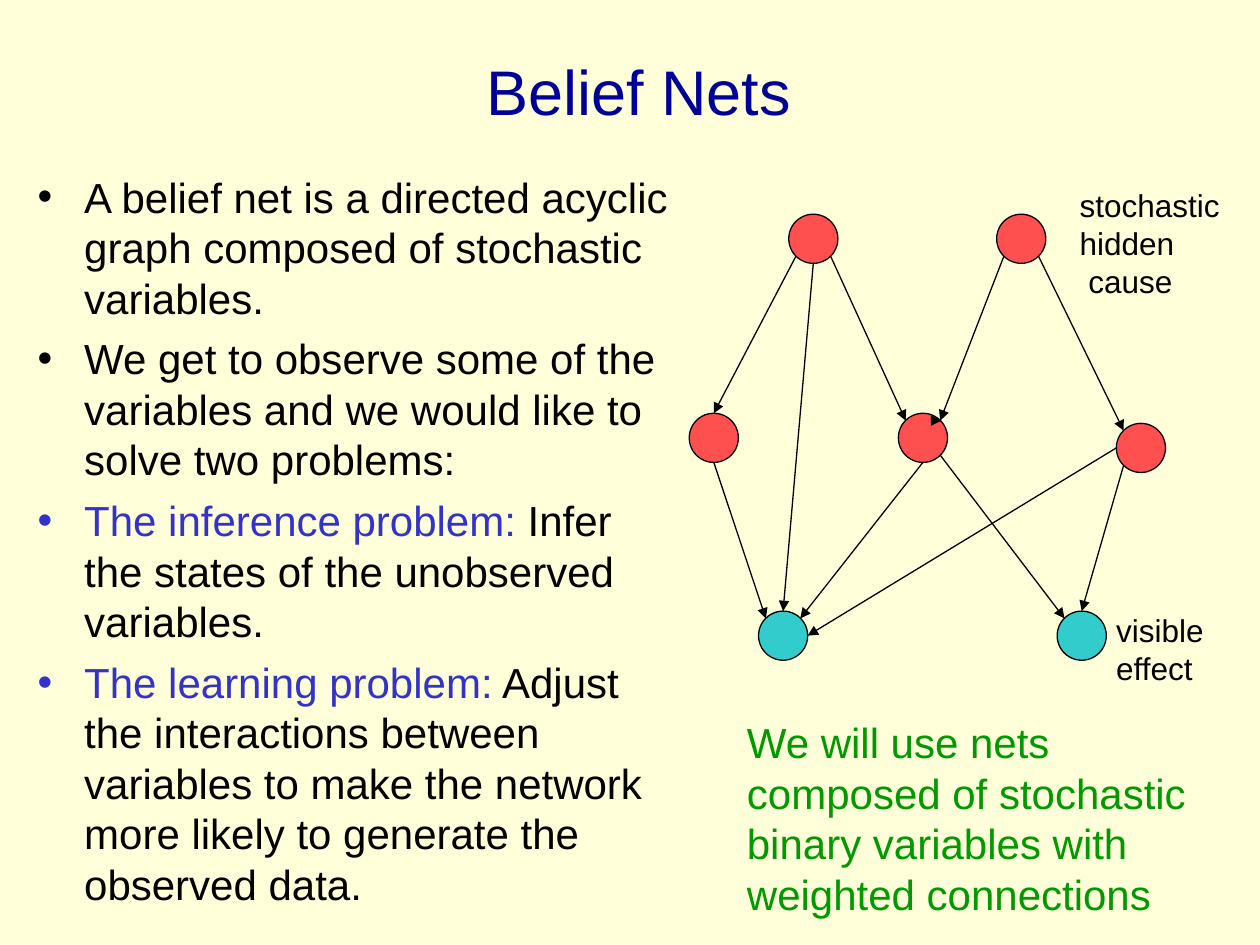
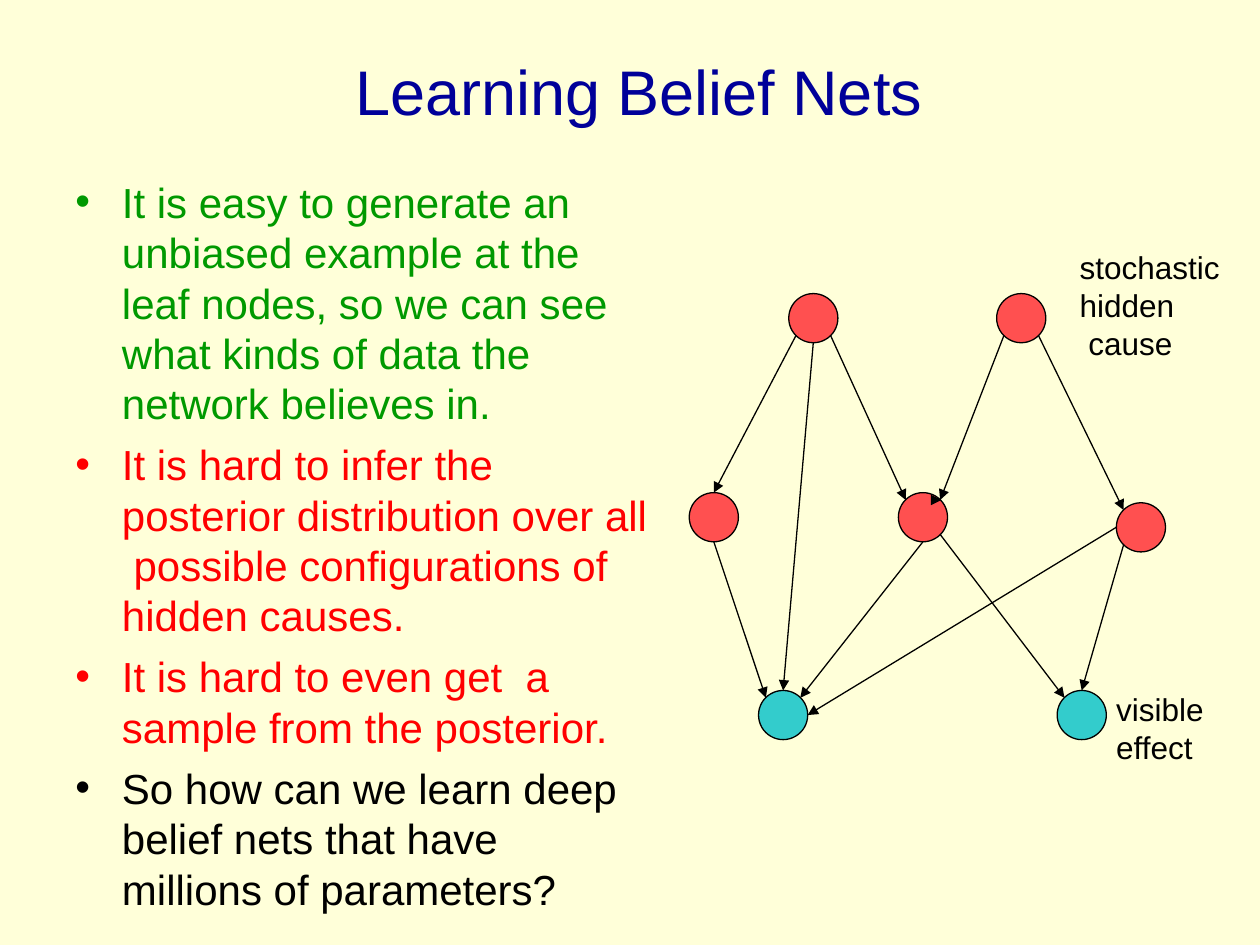
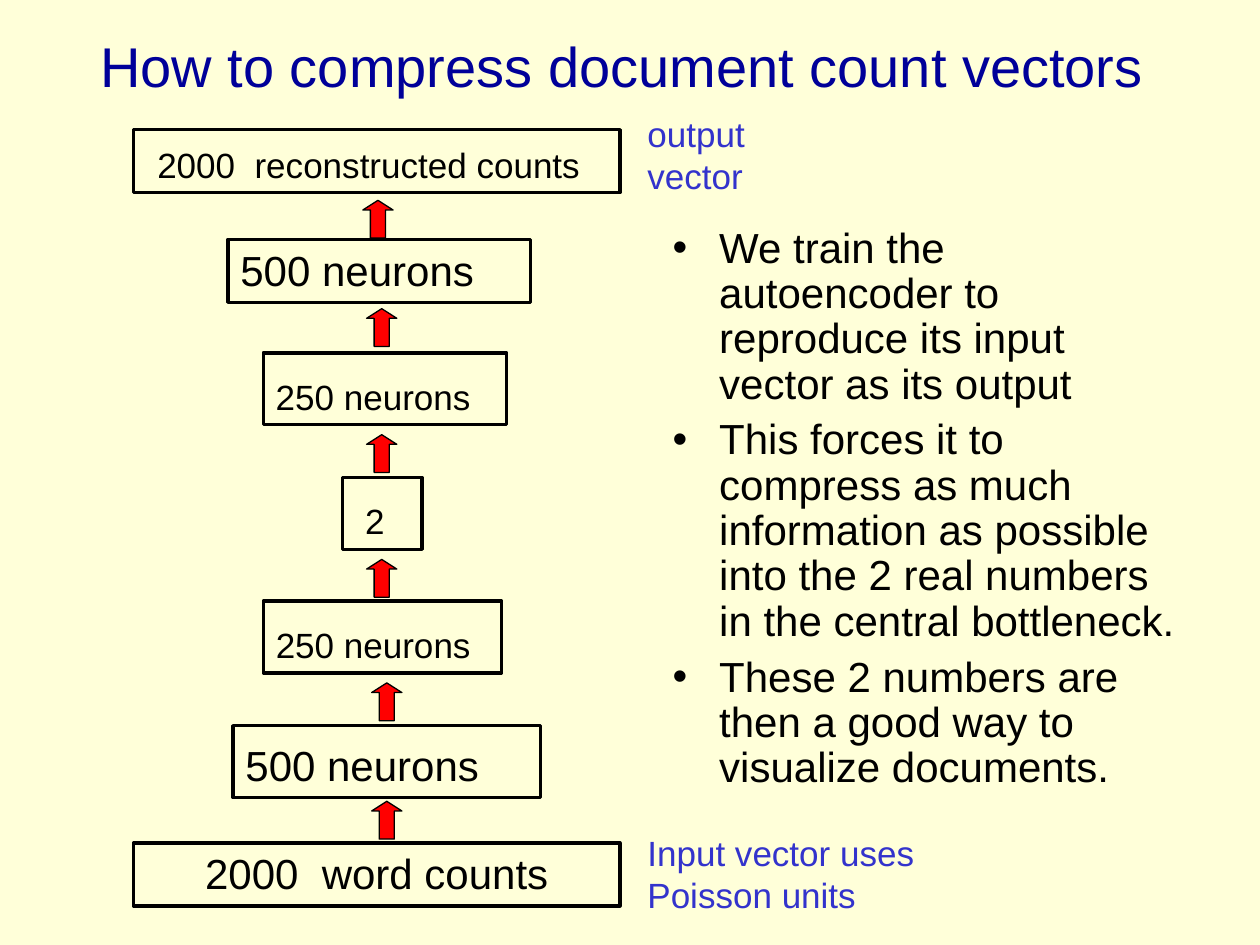
from dataclasses import dataclass
from typing import NamedTuple

from lxml.etree import SubElement
from pptx import Presentation
from pptx.dml.color import RGBColor
from pptx.enum.shapes import MSO_CONNECTOR as Connector, MSO_SHAPE as Shape
from pptx.enum.text import MSO_ANCHOR as Anchor, MSO_AUTO_SIZE as AutoSize, PP_ALIGN as Align
from pptx.oxml.ns import qn
from pptx.util import Emu, Pt

EMU_PER_PX = 9144  # 100 px to the inch
FONT = "Arial"
COLORS = {
    "paper": "FFFFD9",
    "title": "000099",
    "ink": "000000",
    "accent": "3333CC",
    "easy": "009900",
    "hard": "FF0000",
    "hidden": "FF5050",
    "visible": "33CCCC",
}
HANG = 37
NODE_SIZE = 39


class Box(NamedTuple):
    left: int
    top: int
    width: int
    height: int


class Run(NamedTuple):
    text: str
    color: str = "ink"


@dataclass
class Para:
    runs: list[Run]
    size: int = 24
    bullet: bool = False
    indent: int = 0
    line_spacing: float | None = None
    space_before: int = 0


class Node(NamedTuple):
    left: int
    top: int
    kind: str


class Edge(NamedTuple):
    cause: str
    cause_site: str
    effect: str
    effect_site: str


class Layer(NamedTuple):
    text: str
    box: Box
    size: int
    indent: int = 0


# Belief net: nodes, and arrows between the rim points of the nodes
NODES = {
    "cause_1": Node(626, 170, "hidden"),
    "cause_2": Node(791, 170, "hidden"),
    "middle_1": Node(547, 328, "hidden"),
    "middle_2": Node(713, 328, "hidden"),
    "middle_3": Node(886, 336, "hidden"),
    "leaf_1": Node(602, 485, "visible"),
    "leaf_2": Node(839, 485, "visible"),
}
SITES = {
    "top": (0.5, 0), "bottom": (0.5, 1), "left": (0, 0.5), "right": (1, 0.5),
    "top_left": (0.15, 0.15), "top_right": (0.85, 0.15),
    "bottom_left": (0.15, 0.85), "bottom_right": (0.85, 0.85),
}
EDGES = [
    Edge("cause_1", "bottom_left", "middle_1", "top"),
    Edge("cause_1", "bottom", "leaf_1", "top"),
    Edge("cause_1", "bottom_right", "middle_2", "top_left"),
    Edge("cause_2", "bottom_left", "middle_2", "top_right"),
    Edge("cause_2", "bottom_right", "middle_3", "top_left"),
    Edge("middle_1", "bottom", "leaf_1", "top_left"),
    Edge("middle_2", "bottom", "leaf_1", "top_right"),
    Edge("middle_2", "bottom_right", "leaf_2", "top_left"),
    Edge("middle_3", "left", "leaf_1", "right"),
    Edge("middle_3", "bottom_left", "leaf_2", "top"),
]

# Autoencoder layers from the output down to the input
LAYERS = [
    Layer("2000  reconstructed counts", Box(106, 103, 386, 50), 20, 9),
    Layer("500 neurons", Box(181, 190, 240, 50), 24),
    Layer("250 neurons", Box(209, 280, 193, 57), 20),
    Layer("2", Box(272, 379, 63, 57), 20, 8),
    Layer("250 neurons", Box(209, 477, 189, 57), 20),
    Layer("500 neurons", Box(185, 576, 244, 57), 24),
    Layer("2000  word counts", Box(106, 669, 386, 50), 24, 47),
]
ARROW_CORNERS = [(288, 159), (291, 245), (291, 345), (291, 444), (295, 542), (295, 636)]


def px(length: float) -> Emu:
    return Emu(round(length * EMU_PER_PX))


def rgb(color: str) -> RGBColor:
    return RGBColor.from_string(COLORS[color])


def place(box: Box) -> list[Emu]:
    return [px(length) for length in box]


def add_run(paragraph, run: Run, size: int) -> None:
    piece = paragraph.add_run()
    piece.text = run.text
    piece.font.name = FONT
    piece.font.size = Pt(size)
    piece.font.color.rgb = rgb(run.color)


def add_bullet(paragraph, color: str) -> None:
    props = paragraph._p.get_or_add_pPr()
    props.set("marL", str(px(HANG)))
    props.set("indent", str(-px(HANG)))
    bullet_color = SubElement(props, qn("a:buClr"))
    SubElement(bullet_color, qn("a:srgbClr")).set("val", COLORS[color])
    SubElement(props, qn("a:buFont")).set("typeface", FONT)
    SubElement(props, qn("a:buChar")).set("char", "•")


def write(frame, paras: list[Para]) -> None:
    frame.word_wrap = True
    frame.auto_size = AutoSize.NONE
    for index, para in enumerate(paras):
        paragraph = frame.add_paragraph() if index else frame.paragraphs[0]
        paragraph.alignment = Align.LEFT
        if para.bullet:
            add_bullet(paragraph, para.runs[0].color)
        elif para.indent:
            paragraph._p.get_or_add_pPr().set("marL", str(px(para.indent)))
        paragraph.space_before = Pt(para.space_before if index else 0)
        if para.line_spacing:
            paragraph.line_spacing = para.line_spacing
        for run in para.runs:
            add_run(paragraph, run, para.size)


def add_text(slide, box: Box, paras: list[Para]) -> None:
    write(slide.shapes.add_textbox(*place(box)).text_frame, paras)


def add_bullets(slide, box: Box, items: list[list[Run]],
                line_spacing: float | None = None) -> None:
    add_text(slide, box, [
        Para(runs, bullet=True, line_spacing=line_spacing, space_before=6) for runs in items
    ])


def add_figure(slide, kind: Shape, box: Box, fill: str | None, line_width: float = 0.75):
    figure = slide.shapes.add_shape(kind, *place(box))
    figure.shadow.inherit = False
    if fill:
        figure.fill.solid()
        figure.fill.fore_color.rgb = rgb(fill)
    else:
        figure.fill.background()
    figure.line.color.rgb = rgb("ink")
    figure.line.width = Pt(line_width)
    return figure


def add_arrow(slide, start: tuple[float, float], end: tuple[float, float]) -> None:
    ends = [px(length) for length in (*start, *end)]
    arrow = slide.shapes.add_connector(Connector.STRAIGHT, *ends)
    arrow.line.color.rgb = rgb("ink")
    arrow.line.width = Pt(0.75)
    SubElement(arrow.line._get_or_add_ln(), qn("a:tailEnd")).set("type", "triangle")
    SubElement(arrow._element.spPr, qn("a:effectLst"))


def add_slide(prs, title: str, top: int = 9, size: int = 36):
    slide = prs.slides.add_slide(prs.slide_layouts[5])
    heading = slide.shapes.title
    heading.left, heading.top, heading.width, heading.height = place(Box(50, top, 900, 125))
    frame = heading.text_frame
    frame.auto_size = AutoSize.NONE
    frame.vertical_anchor = Anchor.MIDDLE
    frame.paragraphs[0].alignment = Align.CENTER
    add_run(frame.paragraphs[0], Run(title, "title"), size)
    return slide


def add_belief_net(slide, drop: int, cause_label_top: int) -> None:
    def rim(name: str, site: str) -> tuple[float, float]:
        node, (across, down) = NODES[name], SITES[site]
        return node.left + across * NODE_SIZE, node.top + drop + down * NODE_SIZE

    for node in NODES.values():
        box = Box(node.left, node.top + drop, NODE_SIZE, NODE_SIZE)
        add_figure(slide, Shape.OVAL, box, node.kind)
    for edge in EDGES:
        add_arrow(slide, rim(edge.cause, edge.cause_site), rim(edge.effect, edge.effect_site))
    # Stub arrow on the rim of the middle node
    stub_x, stub_y = rim("middle_2", "top_right")
    add_arrow(slide, (stub_x, stub_y), (stub_x + 1, stub_y))

    add_text(slide, Box(847, cause_label_top, 138, 100), [
        Para([Run("stochastic")], 18),
        Para([Run("hidden")], 18),
        Para([Run("cause")], 18, indent=7),
    ])
    add_text(slide, Box(876, 480 + drop, 96, 70),
             [Para([Run(word)], 18) for word in ("visible", "effect")])


def build_belief_nets(prs) -> None:
    slide = add_slide(prs, " Belief Nets")
    add_bullets(slide, Box(20, 131, 528, 615), [
        [Run("A belief net is a directed acyclic graph composed of stochastic variables.")],
        [Run("We get to observe some of the variables and we would like to solve two problems:")],
        [Run("The inference problem:", "accent"),
         Run(" Infer the states of the unobserved variables.")],
        [Run("The learning problem:", "accent"),
         Run(" Adjust the interactions between variables to make the network "
             "more likely to generate the observed data.")],
    ])
    add_belief_net(slide, drop=0, cause_label_top=143)
    add_text(slide, Box(583, 564, 390, 170), [Para([Run(
        "We will use nets composed of stochastic binary variables with weighted connections",
        "easy")])])


def build_learning(prs) -> None:
    slide = add_slide(prs, " Learning Belief Nets")
    add_bullets(slide, Box(50, 135, 474, 644), [
        [Run("It is easy to generate an unbiased example at the leaf nodes, "
             "so we can see what kinds of data the network believes in.", "easy")],
        [Run("It is hard to infer the posterior distribution over "
             "all  possible configurations of hidden causes.", "hard")],
        [Run("It is hard to even get  a sample from the posterior.", "hard")],
        [Run("So how can we learn deep belief nets that have millions of parameters?")],
    ])
    add_belief_net(slide, drop=63, cause_label_top=192)


def build_autoencoder(prs) -> None:
    slide = add_slide(prs, "How to compress document count vectors ", top=-11, size=32)
    add_bullets(slide, Box(524, 175, 426, 495), [
        [Run("We train the autoencoder to reproduce its input vector as its output")],
        [Run("This forces it to compress as much information as possible "
             "into the 2 real numbers in the central bottleneck.")],
        [Run("These 2 numbers are then a good way to visualize documents.")],
    ], line_spacing=0.9)

    # Layers, with the text standing on the lower edge
    for layer in LAYERS:
        frame = add_figure(slide, Shape.RECTANGLE, layer.box, None, 2).text_frame
        write(frame, [Para([Run(layer.text)], layer.size, indent=layer.indent)])
        frame.vertical_anchor = Anchor.BOTTOM
        frame.margin_bottom = px(6)

    # Arrows from each layer to the one above
    for left, top in ARROW_CORNERS:
        arrow = add_figure(slide, Shape.UP_ARROW, Box(left, top, 24, 30), "hard")
        arrow.adjustments[0] = 0.5
        arrow.adjustments[1] = 0.32

    # Notes beside the output and the input
    for note, box in (
        ("output vector", Box(504, 84, 126, 77)),
        ("Input vector uses Poisson units", Box(504, 655, 244, 77)),
    ):
        add_text(slide, box, [Para([Run(note, "accent")], 20)])


def main() -> None:
    prs = Presentation()
    prs.slide_width, prs.slide_height = px(1000), px(750)
    paper = prs.slide_master.background.fill
    paper.solid()
    paper.fore_color.rgb = rgb("paper")
    build_belief_nets(prs)
    build_learning(prs)
    build_autoencoder(prs)
    prs.save("out.pptx")


if __name__ == "__main__":
    main()
